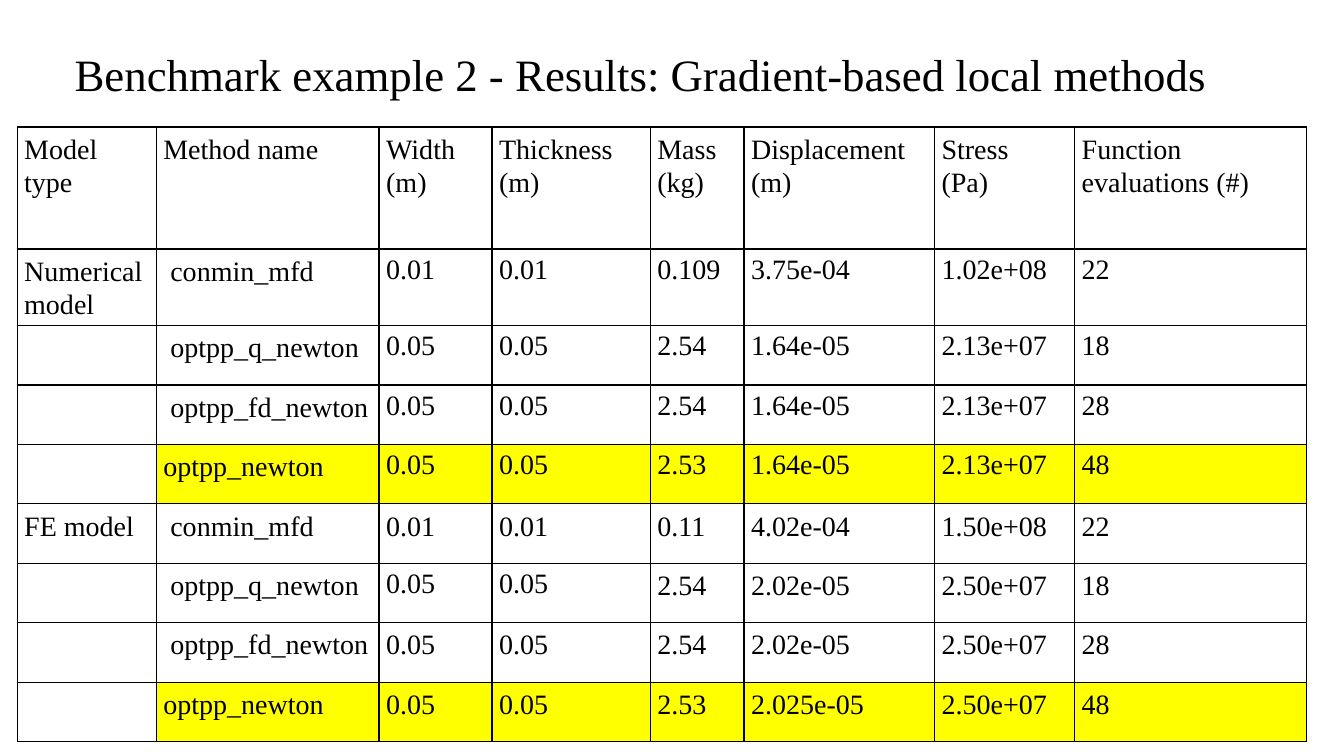
"""Build the results slide for gradient-based local methods."""
import pptx
import pptx.dml.color
import pptx.enum.text
import pptx.oxml
import pptx.oxml.ns
import pptx.util

FONT = "Times New Roman"
BLACK, WHITE, YELLOW = "000000", "FFFFFF", "FFFF00"
COLUMN_WIDTHS = [1.38, 2.21, 1.12, 1.57, 0.93, 1.89, 1.39, 2.3]
ROW_HEIGHTS = [1.21, 0.64] + [0.59] * 7
TABLE_LEFT, TABLE_TOP = 0.17, 1.26
BEST_METHOD = "optpp_newton"
LOOSE_SPACING = 1.07
RESULTS = [
    ["Model type", "Method name", "Width\n(m)", "Thickness\n(m)", "Mass\n(kg)",
     "Displacement\n(m)", "Stress\n(Pa)", "Function evaluations (#)"],
    ["Numerical model", " conmin_mfd", "0.01", "0.01", "0.109", "3.75e-04", "1.02e+08", "22"],
    ["", " optpp_q_newton", "0.05", "0.05", "2.54", "1.64e-05", "2.13e+07", "18"],
    ["", " optpp_fd_newton", "0.05", "0.05", "2.54", "1.64e-05", "2.13e+07", "28"],
    ["", BEST_METHOD, "0.05", "0.05", "2.53", "1.64e-05", "2.13e+07", "48"],
    ["FE model", " conmin_mfd", "0.01", "0.01", "0.11", "4.02e-04", "1.50e+08", "22"],
    ["", " optpp_q_newton", "0.05", "0.05", "2.54", "2.02e-05", "2.50e+07", "18"],
    ["", " optpp_fd_newton", "0.05", "0.05", "2.54", "2.02e-05", "2.50e+07", "28"],
    ["", BEST_METHOD, "0.05", "0.05", "2.53", "2.025e-05", "2.50e+07", "48"],
]


def color(value):
    """Turn a hex string into a colour."""
    return pptx.dml.color.RGBColor.from_string(value)


def format_text(text_frame, size, spacing):
    """Set font, size, colour and line spacing throughout a text frame."""
    for paragraph in text_frame.paragraphs:
        paragraph.alignment = pptx.enum.text.PP_ALIGN.LEFT
        paragraph.line_spacing = spacing
        paragraph.font.size = pptx.util.Pt(size)
        for run in paragraph.runs:
            run.font.name = FONT
            run.font.size = pptx.util.Pt(size)
            run.font.color.rgb = color(BLACK)


def add_borders(cell):
    """Draw a thin black line on each side of a cell."""
    properties = cell._tc.get_or_add_tcPr()
    namespace = pptx.oxml.ns.nsdecls("a")
    for index, side in enumerate(["lnL", "lnR", "lnT", "lnB"]):
        line = pptx.oxml.parse_xml(
            f'<a:{side} {namespace} w="{pptx.util.Pt(0.96)}"><a:solidFill>'
            f'<a:srgbClr val="{BLACK}"/></a:solidFill></a:{side}>')
        properties.insert(index, line)


def line_spacing(row, column):
    """Return single spacing for the numerical model's values and the FE sizes at row 6."""
    single = (1 <= row <= 4 and column >= 2) or (row == 6 and column in (2, 3))
    return 1.0 if single else LOOSE_SPACING


def fill_cell(cell, text, fill, spacing):
    """Write one cell and set its margins, fill and borders."""
    cell.text_frame.text = text
    format_text(cell.text_frame, 20, spacing)
    cell.margin_left = cell.margin_right = pptx.util.Inches(0.07)
    cell.margin_top = cell.margin_bottom = pptx.util.Inches(0.05)
    cell.fill.solid()
    cell.fill.fore_color.rgb = color(fill)
    add_borders(cell)


def add_results_table(slide):
    """Add the table of results with the best method highlighted."""
    lengths = [TABLE_LEFT, TABLE_TOP, sum(COLUMN_WIDTHS), sum(ROW_HEIGHTS)]
    shape = slide.shapes.add_table(
        len(ROW_HEIGHTS), len(COLUMN_WIDTHS), *map(pptx.util.Inches, lengths))
    table = shape.table
    table.first_row = table.horz_banding = False
    for column, width in zip(table.columns, COLUMN_WIDTHS):
        column.width = pptx.util.Inches(width)
    for row, height in zip(table.rows, ROW_HEIGHTS):
        row.height = pptx.util.Inches(height)
    for row, texts in enumerate(RESULTS):
        for column, text in enumerate(texts):
            best = texts[1] == BEST_METHOD and column > 0
            fill_cell(table.cell(row, column), text, YELLOW if best else WHITE,
                      line_spacing(row, column))


def set_title(slide, text):
    """Place and format the slide title."""
    title = slide.shapes.title
    title.left, title.top, title.width, title.height = map(
        pptx.util.Inches, [0.64, 0.04, 12.57, 1.45])
    title.text_frame.text = text
    title.text_frame.auto_size = pptx.enum.text.MSO_AUTO_SIZE.NONE
    title.text_frame.vertical_anchor = pptx.enum.text.MSO_ANCHOR.MIDDLE
    format_text(title.text_frame, 32, 0.9)


def main():
    """Build and save the presentation."""
    presentation = pptx.Presentation()
    presentation.slide_width = pptx.util.Inches(13.33)
    presentation.slide_height = pptx.util.Inches(7.5)
    slide = presentation.slides.add_slide(presentation.slide_layouts.get_by_name("Title Only"))
    set_title(slide, "Benchmark example 2 - Results: Gradient-based local methods")
    add_results_table(slide)
    presentation.save("out.pptx")


if __name__ == "__main__":
    main()
